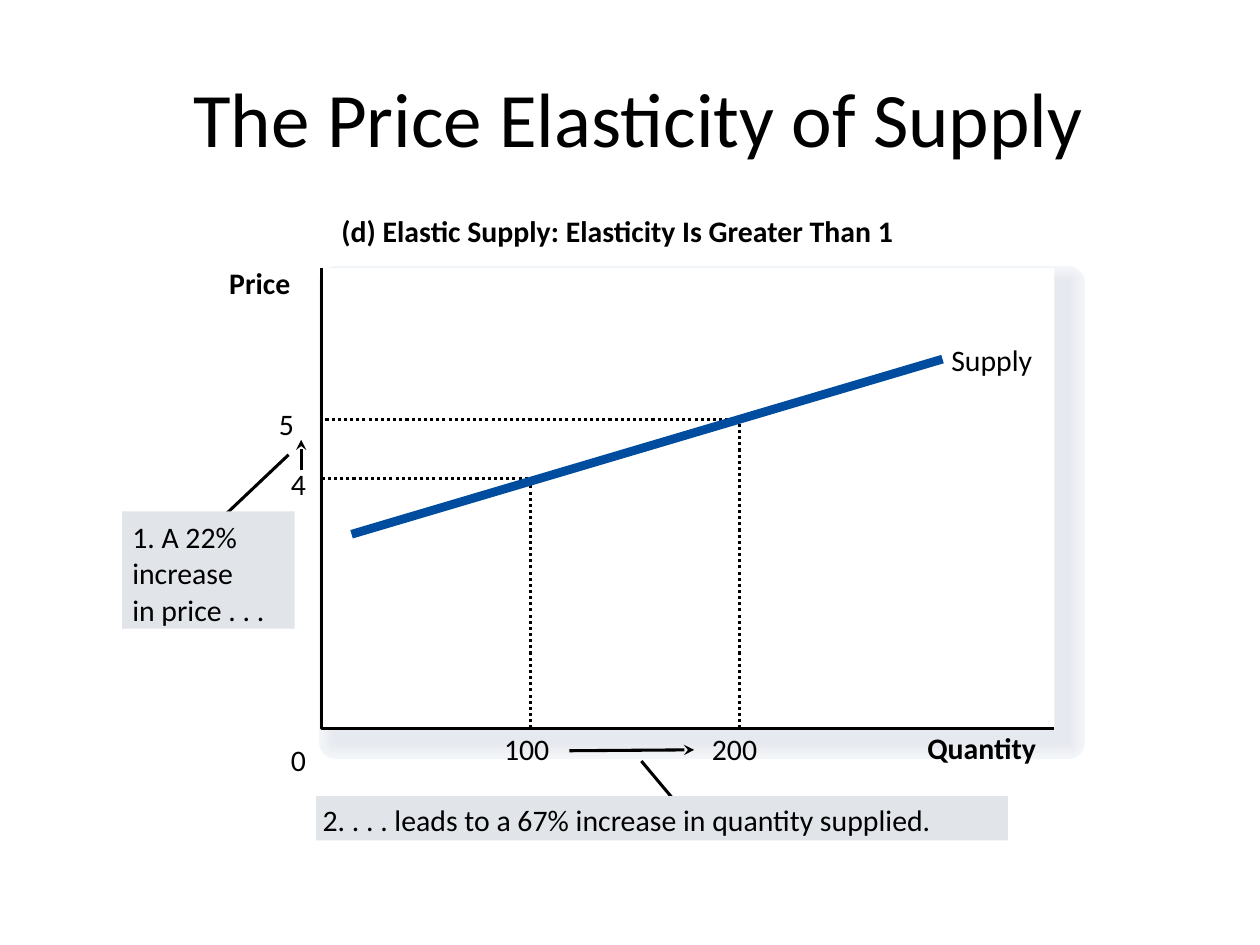
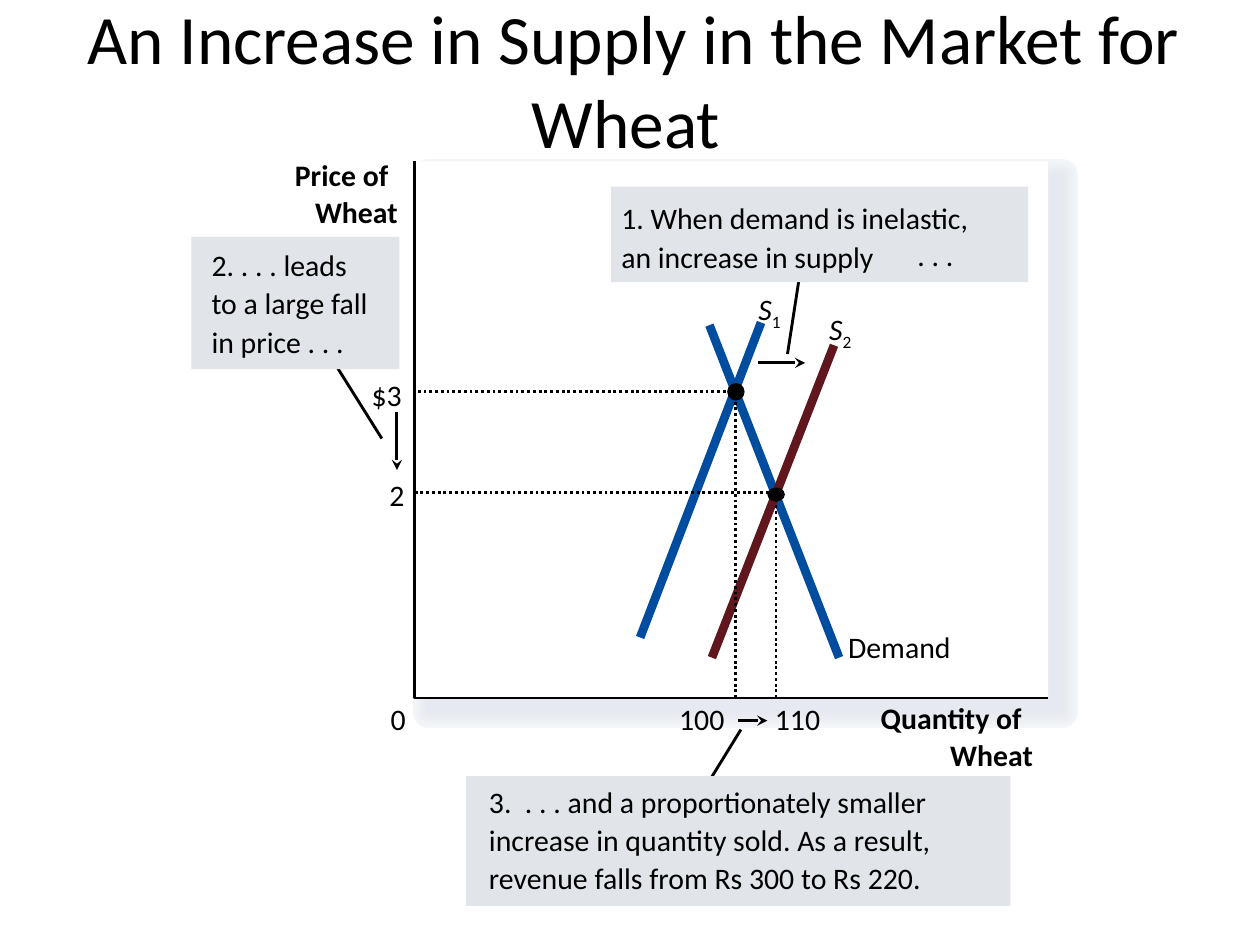
from lxml import etree
from pptx import Presentation
from pptx import util as u
from pptx.dml.color import RGBColor
from pptx.enum import dml, shapes, text
from pptx.oxml.ns import qn

Pt = u.Pt
FONT = "Calibri"
COLORS = {"ink": "000000", "paper": "FFFFFF", "callout": "E1E5E9",
          "blue": "004C9F", "maroon": "5F161D"}
SHADOW_SHADES = ["F3F6F9", "F2F4F8", "F1F4F7", "F0F2F5", "EEF1F4", "EDEFF3",
                 "EBEEF2", "EAECF1", "E9EBF0", "E7EAEF", "E6E9EF"]
TEXT_SIZE = 17

# Boxes are (left, top, width, height); points are (x, y), all in points.
# Callouts: box, pointer ends, left inset, top inset, text.
# Labels: left, top, width, text, bold, subscript.
GRAPHS = [
    {
        "title": " The Price Elasticity of Supply",
        "title_box": (36, 21.6, 648, 90), "title_size": 44,
        "plot": (183.6, 153.4, 419, 262.8), "shadow_width": 18.75,
        "axis_width": 1.75, "line_pitch": 20.9,
        "arrows": [((172.1, 268.6), (172.1, 251.3)), ((325.4, 429), (396.7, 428.5))],
        "callouts": [
            ((69.8, 292.3, 98.6, 67), ((123.8, 298.8), (164.9, 259.9)), 5.8, 3.6,
             "1. A 22%\nincrease\nin price . . ."),
            ((180.7, 455, 395.3, 25.2), ((366.5, 434.9), (385.2, 457.2)), 3.6, 2.9,
             "2. . . . leads to a 67% increase in quantity supplied."),
        ],
        "guides": [(303.1, 273.6), (422.6, 239.8)], "guides_on_top": False,
        "curves": [((200.9, 305.3), (538.6, 205.2), "blue")],
        "dots": [],
        "labels": [
            (195.1, 121.7, 372, "(d) Elastic Supply: Elasticity Is Greater Than 1", True, ""),
            (529.9, 416.9, 69, "Quantity", True, ""),
            (131, 151.2, 42, "Price", True, ""),
            (166.3, 424.1, 9, "0", False, ""),
            (166.3, 266.4, 9, "4", False, ""),
            (155.5, 231.8, 14, " 5", False, ""),
            (288, 417.6, 29, "100", False, ""),
            (406.8, 417.6, 29, "200", False, ""),
            (543.6, 195.1, 52, "Supply", False, ""),
        ],
    },
    {
        "title": " An Increase in Supply in the Market for Wheat",
        "title_box": (33.8, 0, 648, 90), "title_size": 39.6,
        "plot": (236.9, 92.2, 362, 306.7), "shadow_width": 18.13,
        "axis_width": 1.63, "line_pitch": 21.9,
        "arrows": [((226.8, 235.4), (226.8, 268.6)), ((421.9, 411.8), (438.5, 411.8)),
                   ((433.4, 207.4), (460.1, 207.4))],
        "callouts": [
            ((266.4, 443.5, 311, 74.2), ((423.4, 416.9), (403.9, 448.6)), 13, 2.6,
             "3.  . . . and a proportionately smaller\n"
             "increase in quantity sold. As a result,\n"
             "revenue falls from Rs 300 to Rs 220."),
            ((109.4, 135.4, 118.8, 75.6), ((180.7, 190.8), (218.2, 250.6)), 11.5, 4,
             "2. . . . leads\nto a large fall\nin price . . ."),
            ((349.2, 106.6, 238.3, 54.7), ((450, 202.3), (457.9, 151.2)), 5.8, 6.2,
             "1. When demand is inelastic,\nan increase in supply"),
        ],
        "guides": [(443.5, 281.5), (420.5, 223.9)], "guides_on_top": True,
        "curves": [((405.4, 185.8), (479.5, 375.8), "blue"),
                   ((434.9, 184.3), (365.8, 364.3), "blue"),
                   ((476.6, 197.3), (406.8, 375.8), "maroon")],
        "dots": [(438.5, 278.6, 10, 8), (415.5, 218.9, 10, 10)],
        "labels": [
            (503.3, 399.6, 103, "Quantity of", True, ""),
            (542.9, 421.2, 62, "Wheat", True, ""),
            (168.5, 89.3, 73, "Price of", True, ""),
            (180, 110.9, 62, "Wheat", True, ""),
            (223.2, 400.3, 18, "0", False, ""),
            (222.5, 272.2, 18, "2", False, ""),
            (212.4, 215.3, 28, "$3", False, ""),
            (388.1, 400.3, 37, "100", False, ""),
            (442.8, 400.3, 37, "110", False, ""),
            (484.6, 359.3, 74, "Demand", False, ""),
            (433.4, 166.3, 17, "S", False, "1"),
            (473.8, 177.8, 17, "S", False, "2"),
            (524.2, 135.4, 32, ". . .", False, ""),
        ],
    },
]


def draw_line(slide, points, color, width, dotted=False, arrow=False):
    """Two points give a connector, more give an open outline."""
    points = [(Pt(x), Pt(y)) for x, y in points]
    if len(points) == 2:
        shape = slide.shapes.add_connector(shapes.MSO_CONNECTOR.STRAIGHT, *points[0], *points[1])
        etree.SubElement(shape._element.spPr, qn("a:effectLst"))
    else:
        builder = slide.shapes.build_freeform(*points[0])
        builder.add_line_segments(points[1:], close=False)
        shape = builder.convert_to_shape()
        shape.shadow.inherit = False
        shape.fill.background()
    shape.line.color.rgb = RGBColor.from_string(COLORS[color])
    shape.line.width = Pt(width)
    if dotted:
        shape.line.dash_style = dml.MSO_LINE.ROUND_DOT
    if arrow:
        etree.SubElement(shape.line._get_or_add_ln(), qn("a:tailEnd"), type="stealth")


def add_block(slide, kind, box, fill, line_width=0):
    shape = slide.shapes.add_shape(kind, *map(Pt, box))
    shape.shadow.inherit = False
    shape.fill.solid()
    shape.fill.fore_color.rgb = RGBColor.from_string(fill)
    if line_width:
        shape.line.color.rgb = RGBColor.from_string(fill)
        shape.line.width = Pt(line_width)
    else:
        shape.line.fill.background()
    return shape


RECTANGLE, OVAL = shapes.MSO_SHAPE.RECTANGLE, shapes.MSO_SHAPE.OVAL
INK = RGBColor.from_string(COLORS["ink"])
presentation = Presentation()
presentation.slide_width, presentation.slide_height = Pt(720), Pt(540)

for graph in GRAPHS:
    slide = presentation.slides.add_slide(presentation.slide_layouts[5])
    title = slide.shapes.title
    for name, value in zip(("left", "top", "width", "height"), graph["title_box"]):
        setattr(title, name, Pt(value))
    title.text_frame.text = graph["title"]
    title.text_frame.vertical_anchor = text.MSO_ANCHOR.MIDDLE
    paragraph = title.text_frame.paragraphs[0]
    paragraph.alignment = text.PP_ALIGN.CENTER
    title_font = paragraph.runs[0].font
    title_font.name, title_font.size = FONT, Pt(graph["title_size"])
    title_font.color.rgb = INK

    # Plot area with its soft shadow
    left, top, width, height = graph["plot"]
    count = len(SHADOW_SHADES)
    for index, shade in enumerate(SHADOW_SHADES):
        add_block(slide, RECTANGLE, (left + 8, top + 8, width, height), shade,
                  graph["shadow_width"] * (count - index) / count)
    add_block(slide, RECTANGLE, graph["plot"], COLORS["paper"])
    bottom = top + height
    draw_line(slide, [(left, top), (left, bottom), (left + width, bottom)],
              "ink", graph["axis_width"])
    for start, tip in graph["arrows"]:
        draw_line(slide, [start, tip], "ink", 1.75, arrow=True)

    # Guides run from the quantity axis to the price axis
    layers = ["guides", "curves"]
    if graph["guides_on_top"]:
        layers.reverse()
    for layer in layers:
        if layer == "curves":
            for start, end, color in graph["curves"]:
                draw_line(slide, [start, end], color, 5)
        else:
            for x, y in graph["guides"]:
                draw_line(slide, [(x, bottom), (x, y), (left, y)], "ink",
                          graph["axis_width"], dotted=True)
    for dot in graph["dots"]:
        add_block(slide, OVAL, dot, COLORS["ink"])

    for box, pointer, inset, top_inset, words in graph["callouts"]:
        draw_line(slide, pointer, "ink", graph["axis_width"])
        frame = add_block(slide, RECTANGLE, box, COLORS["callout"]).text_frame
        frame_format = {"margin_left": Pt(inset), "margin_top": Pt(top_inset),
                        "margin_right": 0, "margin_bottom": 0, "word_wrap": True,
                        "vertical_anchor": text.MSO_ANCHOR.TOP, "text": words}
        for name, value in frame_format.items():
            setattr(frame, name, value)
        for paragraph in frame.paragraphs:
            paragraph.alignment = text.PP_ALIGN.LEFT
            paragraph.line_spacing = Pt(graph["line_pitch"])
            font = paragraph.runs[0].font
            font.name, font.size, font.color.rgb = FONT, Pt(TEXT_SIZE), INK

    for x, y, label_width, words, bold, subscript in graph["labels"]:
        frame = slide.shapes.add_textbox(Pt(x), Pt(y), Pt(label_width), Pt(20.5)).text_frame
        frame_format = {"margin_left": 0, "margin_top": 0, "margin_right": 0,
                        "margin_bottom": 0, "word_wrap": False,
                        "auto_size": text.MSO_AUTO_SIZE.SHAPE_TO_FIT_TEXT}
        for name, value in frame_format.items():
            setattr(frame, name, value)
        for part in filter(None, (words, subscript)):
            run = frame.paragraphs[0].add_run()
            run.text = part
            font = run.font
            font.name, font.size, font.color.rgb = FONT, Pt(TEXT_SIZE), INK
            font.bold = bold
            font.italic = bool(subscript) and part == words
            if part == subscript:
                font._element.set("baseline", "-25000")

presentation.save("out.pptx")
